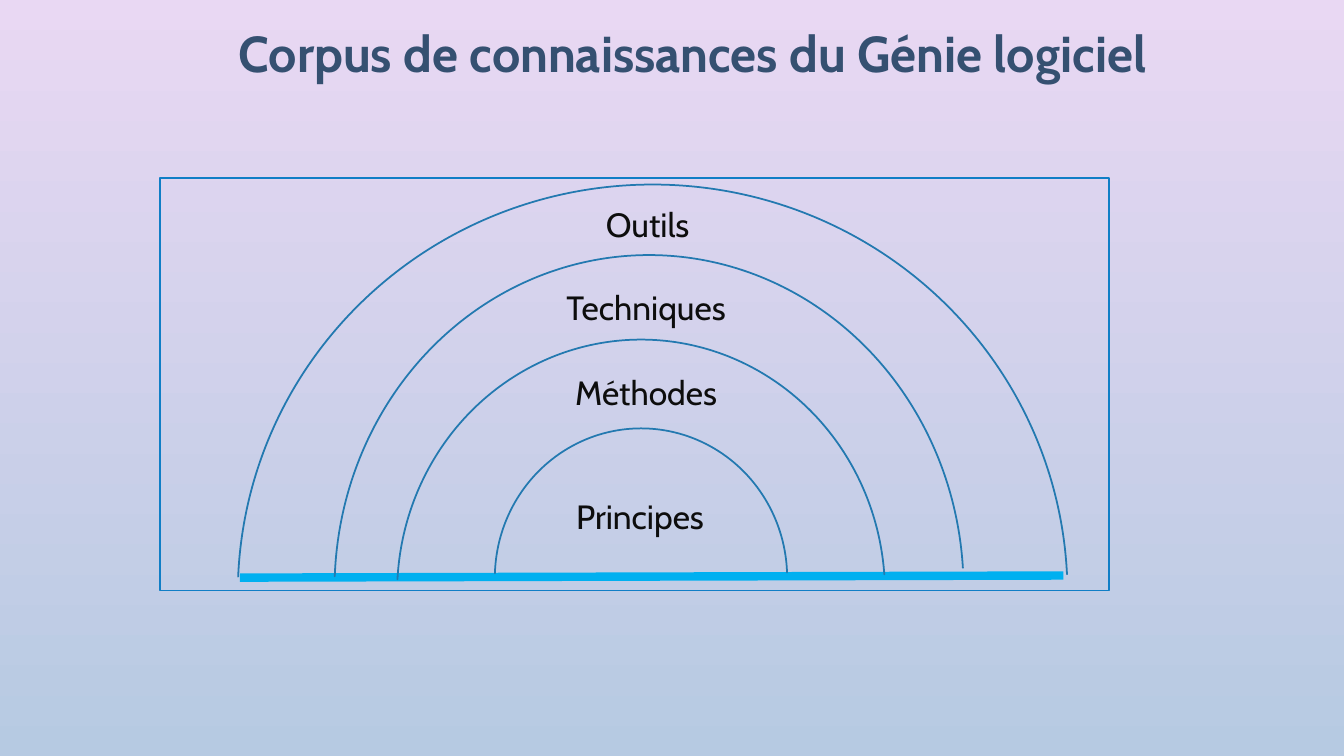
from lxml.etree import SubElement
from pptx import Presentation
from pptx.dml.color import RGBColor
from pptx.enum.shapes import MSO_CONNECTOR, MSO_SHAPE
from pptx.enum.text import MSO_ANCHOR, MSO_AUTO_SIZE, PP_ALIGN
from pptx.oxml.ns import qn
from pptx.util import Pt

TITLE = "Corpus de connaissances du Génie logiciel"
TITLE_BOX = (160.6, 12.2, 668.2, 51.1)
FRAME = (114.5, 127.4, 677.5, 294.5)
BASELINE = (171.4, 412.6, 759.6, 411.1)
BACKGROUND = ("E9D8F3", "B6CAE2")
FONT = "Cabin"

# label, (label centre, label top), arc box, (start, end) in degrees
LAYERS = [
    ("Outils", (462.6, 141.8), (169.9, 131.8, 592.6, 584.6), (182.37, 357.29)),
    ("Techniques", (461.5, 201.6), (239, 182.2, 449.3, 477.4), (182.37, 356.08)),
    ("Méthodes", (461.5, 262.1), (283.7, 242.6, 348.5, 362.2), (183.26, 355.57)),
    ("Principes", (457.2, 350.6), (353.5, 306, 208.8, 213.8), (181.83, 357.86)),
]
LABEL_WIDTH, LABEL_HEIGHT = 166, 35.3
ADJUSTMENT_PER_DEGREE = 0.6


def color(hex_value):
    return RGBColor.from_string(hex_value)


def points(values):
    return [Pt(value) for value in values]


def write(frame, text, size, hex_value, bold=False):
    frame.text = text
    frame.word_wrap = True
    frame.auto_size = MSO_AUTO_SIZE.NONE
    frame.vertical_anchor = MSO_ANCHOR.TOP
    para = frame.paragraphs[0]
    para.alignment = PP_ALIGN.CENTER
    font = para.runs[0].font
    font.name, font.size, font.bold = FONT, Pt(size), bold
    font.color.rgb = color(hex_value)


def add_outline(page, preset, box, line_color):
    shape = page.shapes.add_shape(preset, *points(box))
    shape.shadow.inherit = False
    shape.fill.background()
    shape.line.color.rgb = color(line_color)
    shape.line.width = Pt(1.25)
    return shape


def add_baseline(page):
    line = page.shapes.add_connector(MSO_CONNECTOR.STRAIGHT, *points(BASELINE))
    line.line.color.rgb = color("00B0F0")
    line.line.width = Pt(6)
    SubElement(line._element.spPr, qn("a:effectLst"))


def add_layer(page, label, label_spot, arc_box, angles):
    arc = add_outline(page, MSO_SHAPE.BLOCK_ARC, arc_box, "2379B0")
    for index, angle in enumerate(angles):
        arc.adjustments[index] = angle * ADJUSTMENT_PER_DEGREE
    arc.adjustments[2] = 0
    centre, top = label_spot
    label_box = (centre - LABEL_WIDTH / 2, top, LABEL_WIDTH, LABEL_HEIGHT)
    box = page.shapes.add_textbox(*points(label_box))
    write(box.text_frame, label, 24, "0D0D0D")


def main():
    deck = Presentation()
    deck.slide_width, deck.slide_height = Pt(960), Pt(540)
    page = deck.slides.add_slide(deck.slide_layouts[5])

    fill = page.background.fill
    fill.gradient()
    fill.gradient_angle = 270
    for stop, hex_value in zip(fill.gradient_stops, BACKGROUND):
        stop.color.rgb = color(hex_value)

    title = page.shapes.title
    title.left, title.top, title.width, title.height = points(TITLE_BOX)
    write(title.text_frame, TITLE, 36, "355071", bold=True)

    add_baseline(page)
    add_outline(page, MSO_SHAPE.RECTANGLE, FRAME, "107EC6")
    for layer in LAYERS:
        add_layer(page, *layer)
    deck.save("out.pptx")


if __name__ == "__main__":
    main()
